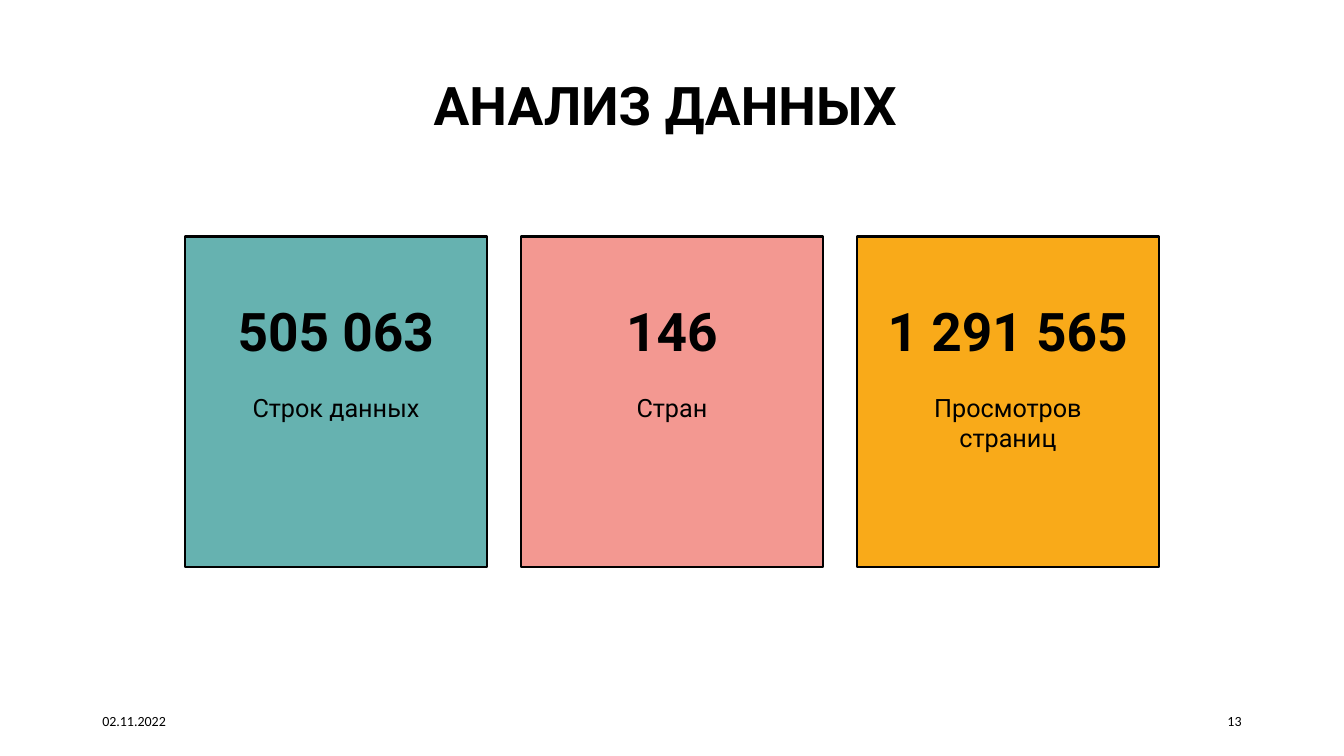
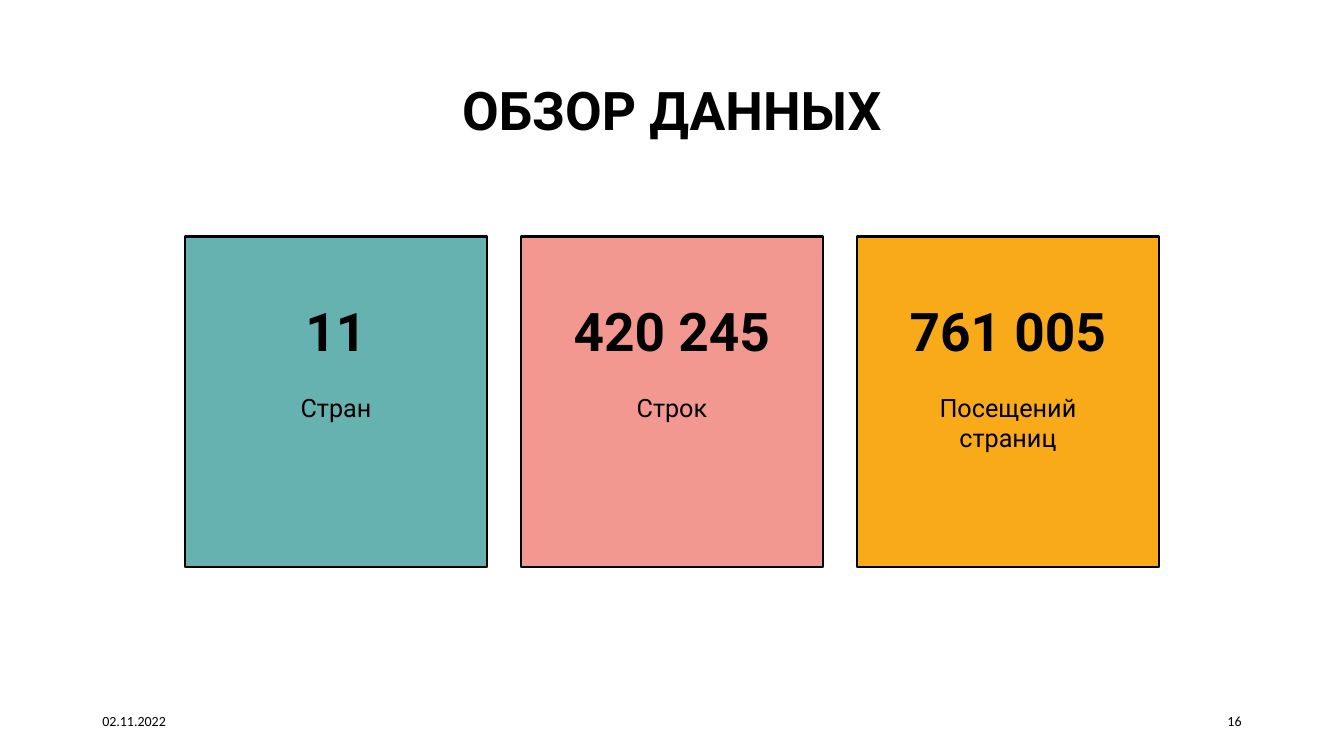
from dataclasses import dataclass

from pptx import Presentation
from pptx.dml.color import RGBColor
from pptx.enum.shapes import MSO_SHAPE
from pptx.enum.text import MSO_ANCHOR, MSO_AUTO_SIZE, PP_ALIGN
from pptx.shapes.autoshape import Shape
from pptx.slide import Slide
from pptx.util import Pt

HUES = {"ink": "000000", "teal": "66B2B0", "rose": "F39891", "gold": "F9AA19"}
FILLS = ("teal", "rose", "gold")
DATE = "02.11.2022"

# Card row, in points
LEFT, TOP, WIDE, HIGH, GAP = 132, 169, 216, 236, 24
# Page margin and footer row
EDGE, FOOT = 66, 500.4


@dataclass(frozen=True)
class Card:
    value: str
    label: str


@dataclass(frozen=True)
class Page:
    title: str
    top: float
    number: int
    cards: tuple[Card, ...]


PAGES = (
    Page("АНАЛИЗ ДАННЫХ ", 25.2, 13, (
        Card("505 063", "Строк данных"),
        Card("146", "Стран"),
        Card("1 291 565", "Просмотров страниц"),
    )),
    Page("ОБЗОР ДАННЫХ", 28.8, 16, (
        Card("11", "Стран"),
        Card("420 245", "Строк"),
        Card("761 005", "Посещений страниц"),
    )),
)


def color(name: str) -> RGBColor:
    return RGBColor.from_string(HUES[name])


def write(shape: Shape, text: str, *, size: float = 18, font: str = "Roboto",
          bold: bool = False, align: PP_ALIGN = PP_ALIGN.CENTER,
          anchor: MSO_ANCHOR = MSO_ANCHOR.TOP, lines: float = 1.0,
          pads: tuple[float, ...] = (7.2, 3.6, 7.2, 3.6)) -> None:
    """Fill a shape with one formatted paragraph; pads run clockwise from left."""
    frame = shape.text_frame
    frame.word_wrap = True
    frame.auto_size = MSO_AUTO_SIZE.NONE
    frame.vertical_anchor = anchor
    frame.margin_left, frame.margin_top, frame.margin_right, frame.margin_bottom = map(Pt, pads)
    para = frame.paragraphs[0]
    para.alignment = align
    para.line_spacing = lines
    run = para.add_run()
    run.text = text
    run.font.size = Pt(size)
    run.font.name = font
    run.font.bold = bold
    run.font.color.rgb = color("ink")


def add_box(slide: Slide, x: float, y: float, w: float, h: float) -> Shape:
    return slide.shapes.add_textbox(Pt(x), Pt(y), Pt(w), Pt(h))


def add_title(slide: Slide, page: Page) -> None:
    title = slide.shapes.title
    title.left, title.top, title.width, title.height = map(Pt, (EDGE, page.top, 828, 104.4))
    write(title, page.title, size=38, bold=True, anchor=MSO_ANCHOR.MIDDLE, lines=0.9)


def add_card(slide: Slide, card: Card, x: float, fill: str) -> None:
    # Panel with the figure
    panel = slide.shapes.add_shape(MSO_SHAPE.RECTANGLE, Pt(x), Pt(TOP), Pt(WIDE), Pt(HIGH))
    panel.shadow.inherit = False
    panel.fill.solid()
    panel.fill.fore_color.rgb = color(fill)
    panel.line.color.rgb = color("ink")
    panel.line.width = Pt(1.75)
    write(panel, card.value, size=38, bold=True, lines=0.9, pads=(0, 49, 0, 0))
    # Label below the figure
    write(add_box(slide, x + 18, 276.5, WIDE - 36, 57.6), card.label)


def add_foot(slide: Slide, number: int) -> None:
    parts = ((EDGE, DATE, PP_ALIGN.LEFT), (678, str(number), PP_ALIGN.RIGHT))
    for x, text, align in parts:
        write(add_box(slide, x, FOOT, 216, 28.8), text, size=10, font="Calibri",
              align=align, anchor=MSO_ANCHOR.MIDDLE)


def main() -> None:
    deck = Presentation()
    deck.slide_width, deck.slide_height = Pt(960), Pt(540)
    for page in PAGES:
        slide = deck.slides.add_slide(deck.slide_layouts.get_by_name("Title Only"))
        add_title(slide, page)
        for i, (card, fill) in enumerate(zip(page.cards, FILLS)):
            add_card(slide, card, LEFT + i * (WIDE + GAP), fill)
        add_foot(slide, page.number)
    deck.save("out.pptx")


if __name__ == "__main__":
    main()
